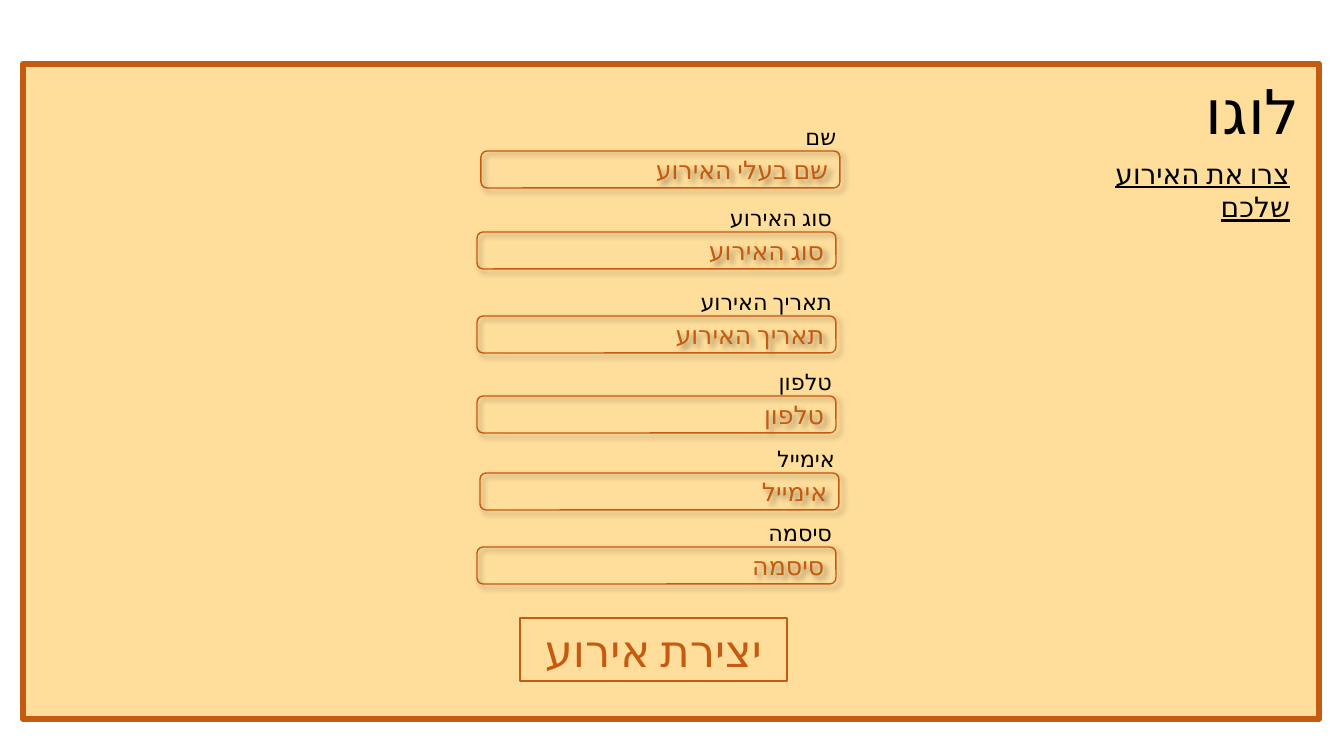
from lxml import etree
from pptx import Presentation
from pptx.dml.color import RGBColor
from pptx.enum.shapes import MSO_SHAPE
from pptx.enum.text import MSO_ANCHOR, MSO_AUTO_SIZE, PP_ALIGN
from pptx.oxml import parse_xml
from pptx.oxml.ns import nsdecls, qn
from pptx.util import Emu, Pt

RECTANGLE = MSO_SHAPE.RECTANGLE
ROUNDED = MSO_SHAPE.ROUNDED_RECTANGLE
TOP, MIDDLE = MSO_ANCHOR.TOP, MSO_ANCHOR.MIDDLE
RIGHT, CENTER = PP_ALIGN.RIGHT, PP_ALIGN.CENTER
GROW = MSO_AUTO_SIZE.SHAPE_TO_FIT_TEXT

SCALE = 914400 / 100.8
SLIDE_SIZE = (1344, 756)
TITLE_ONLY = 5
FONT = "Calibri"
CREAM = RGBColor(0xFF, 0xDE, 0x9B)
ORANGE = RGBColor(0xC5, 0x5A, 0x11)
BLACK = RGBColor(0, 0, 0)
SILVER = RGBColor(0xD0, 0xCE, 0xCE)

FIELD_SIZE = (359, 37)
LABEL_SIZE = (177, 37)
LABEL_SHIFT = (188, -33)
# label, hint inside the field, field left, field top
FIELDS = [
    ("שם", "שם בעלי האירוע", 481, 151),
    ("סוג האירוע", "סוג האירוע", 477, 232),
    ("תאריך האירוע", "תאריך האירוע", 477, 316),
    ("טלפון", "טלפון", 477, 396),
    ("אימייל", "אימייל", 480, 473),
    ("סיסמה", "סיסמה", 477, 547),
]


def emu(*pixels):
    """Turn pixel lengths into EMU."""
    return [Emu(round(pixel * SCALE)) for pixel in pixels]


class FormSlide:
    """Holds the style and the current slide, and draws its elements."""

    def __init__(self, presentation):
        """Add a title-only slide."""
        layout = presentation.slide_layouts[TITLE_ONLY]
        self.slide = presentation.slides.add_slide(layout)
        self.shapes = self.slide.shapes

    def set_text(self, shape, text, size, color, align, anchor=TOP, outlined=False):
        """Set right-to-left text in a shape and format it."""
        frame = shape.text_frame
        frame.text = text
        frame.word_wrap = True
        frame.vertical_anchor = anchor
        paragraph = frame.paragraphs[0]
        paragraph.alignment = align
        paragraph._p.get_or_add_pPr().set("rtl", "1")
        run = paragraph.runs[0]
        run.font.name = FONT
        run.font.size = Pt(size)
        run.font.color.rgb = color
        properties = run._r.get_or_add_rPr()
        properties.set("lang", "he-IL")
        etree.SubElement(properties, qn("a:cs"), typeface=FONT)
        if outlined:
            properties.insert(0, parse_xml(
                f'<a:ln {nsdecls("a")} w="{Pt(0.75)}"><a:solidFill>'
                f'<a:srgbClr val="{SILVER}"/></a:solidFill></a:ln>'))
        return run

    def title(self, text, box, size):
        """Place the underlined title in front of the shapes drawn so far."""
        title = self.shapes.title
        title.left, title.top, title.width, title.height = emu(*box)
        self.set_text(title, text, size, BLACK, RIGHT).font.underline = True
        title.text_frame.auto_size = GROW
        self.shapes._spTree.append(title._element)

    def text(self, text, box, size, align=RIGHT):
        """Add a plain text box."""
        text_box = self.shapes.add_textbox(*emu(*box))
        self.set_text(text_box, text, size, BLACK, align)
        text_box.text_frame.auto_size = GROW

    def box(self, kind, box, line_width, fill=None):
        """Add an orange-edged shape, filled or see-through."""
        shape = self.shapes.add_shape(kind, *emu(*box))
        shape.shadow.inherit = False
        shape.line.color.rgb = ORANGE
        shape.line.width = Pt(line_width)
        if fill is None:
            shape.fill.background()
        else:
            shape.fill.solid()
            shape.fill.fore_color.rgb = fill
        return shape

    def drop_shadow(self, shape):
        """Give a shape a soft shadow towards the lower right."""
        effects = shape._element.spPr.find(qn("a:effectLst"))
        effects.append(parse_xml(
            f'<a:outerShdw {nsdecls("a")} blurRad="{Pt(4)}" dist="{Pt(3)}" '
            'dir="2700000" algn="tl" rotWithShape="0"><a:srgbClr val="000000">'
            '<a:alpha val="40000"/></a:srgbClr></a:outerShdw>'))

    def field(self, label, hint, left, top):
        """Add an input field with its label above."""
        shift_x, shift_y = LABEL_SHIFT
        self.text(label, (left + shift_x, top + shift_y, *LABEL_SIZE), 16)
        shape = self.box(ROUNDED, (left, top, *FIELD_SIZE), 1)
        self.drop_shadow(shape)
        self.set_text(shape, hint, 18, ORANGE, RIGHT, MIDDLE, outlined=True)

    def button(self, text, box):
        """Add the submit button."""
        shape = self.box(RECTANGLE, box, 1.5, CREAM)
        self.set_text(shape, text, 32, ORANGE, CENTER, MIDDLE, outlined=True)


def main():
    """Build the event form and save it."""
    presentation = Presentation()
    presentation.slide_width, presentation.slide_height = emu(*SLIDE_SIZE)
    form = FormSlide(presentation)
    form.box(RECTANGLE, (23, 64, 1296, 655), 4.5, CREAM)
    form.title("צרו את האירוע שלכם", (1053, 151, 247, 44), 20)
    form.text("לוגו", (1096, 68, 314, 85), 44, CENTER)
    for field in FIELDS:
        form.field(*field)
    form.button("יצירת אירוע", (520, 618, 267, 63))
    presentation.save("out.pptx")


main()
